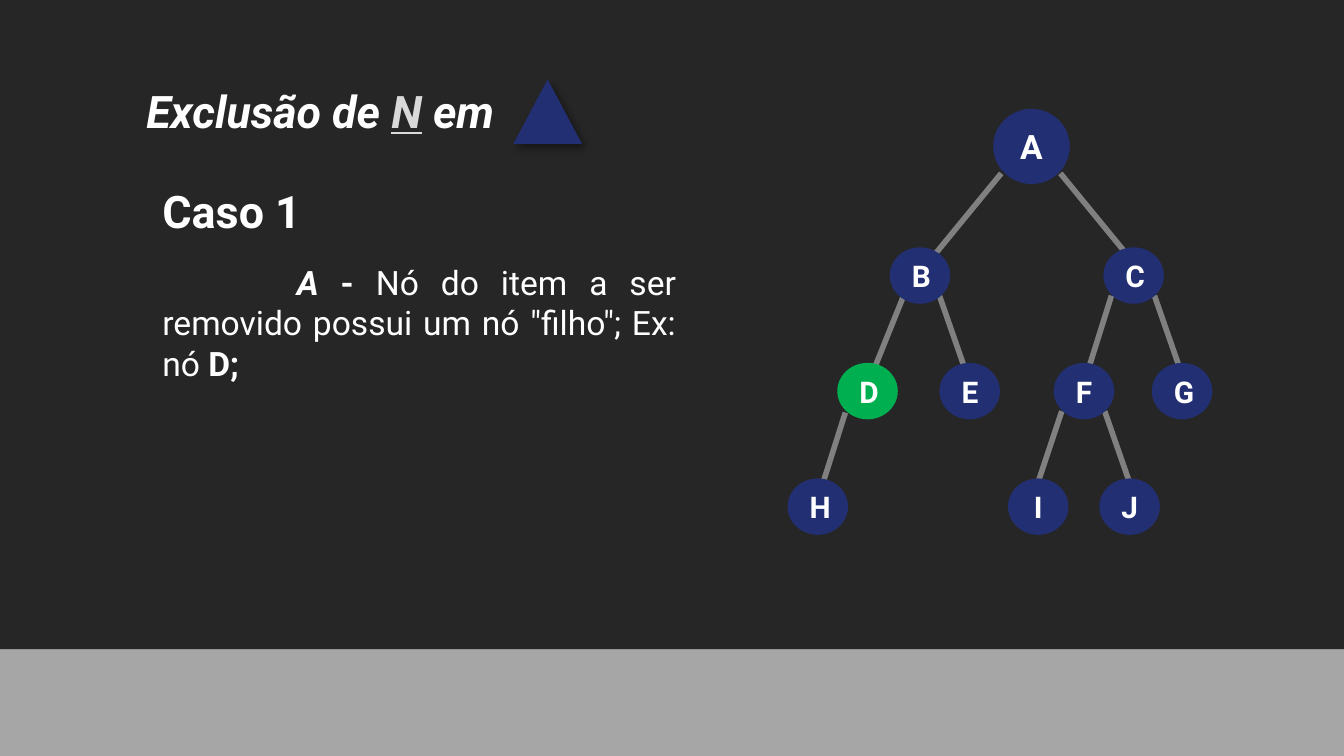
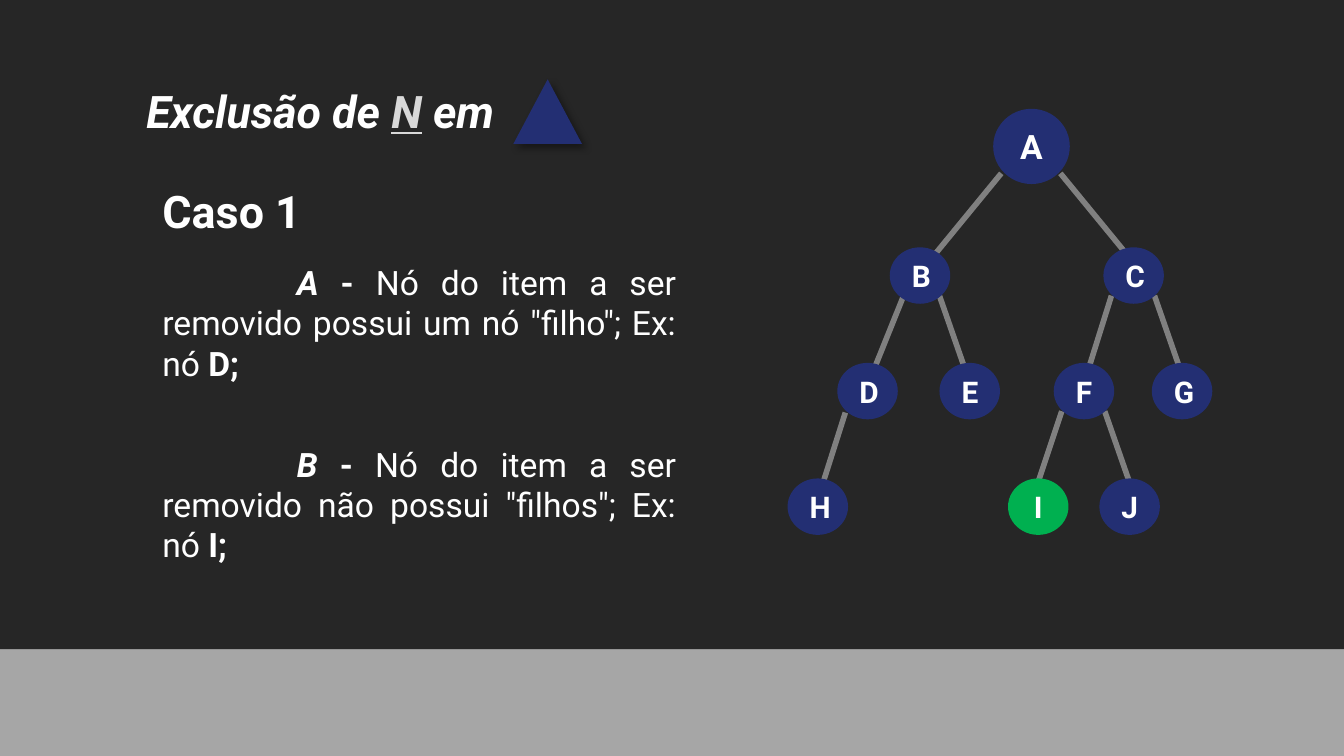
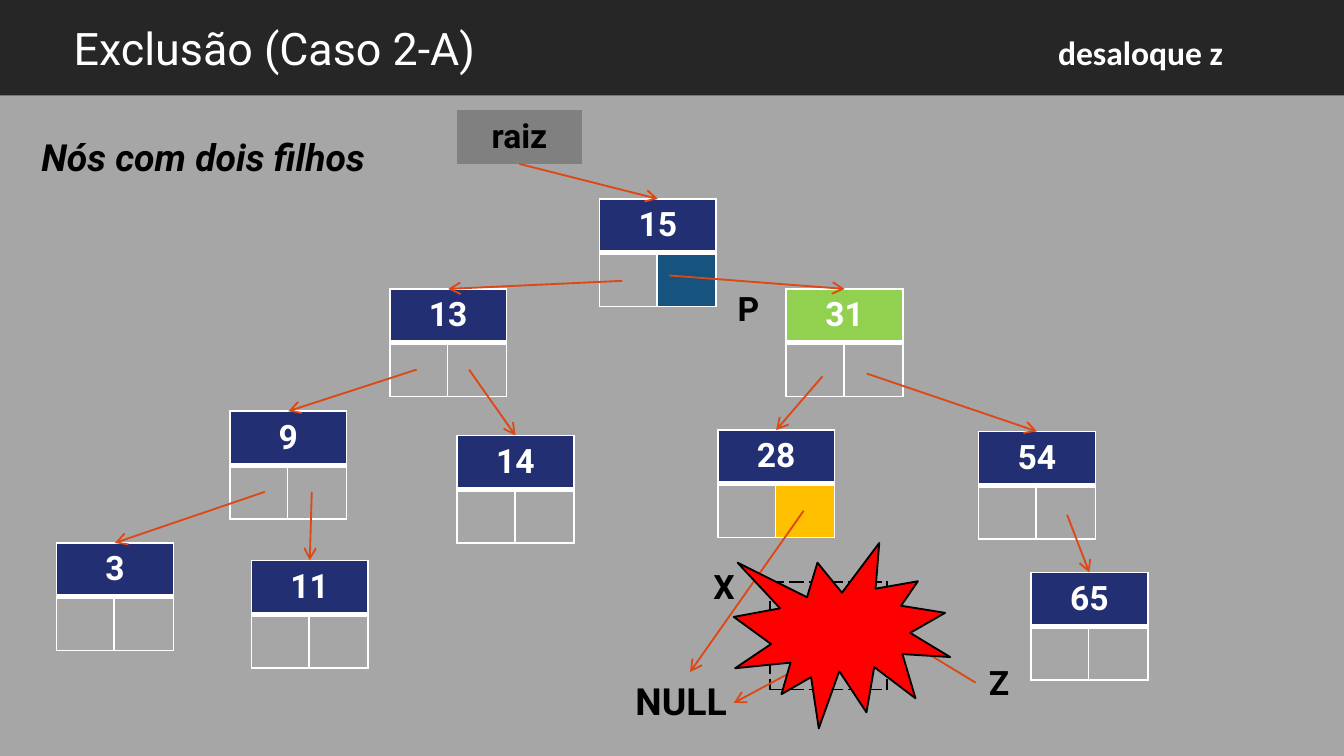
from dataclasses import dataclass
from typing import Any, NamedTuple, Optional

from lxml import etree
from pptx import Presentation
from pptx.dml.color import RGBColor
from pptx.enum.shapes import MSO_CONNECTOR, MSO_SHAPE
from pptx.enum.text import MSO_ANCHOR, MSO_AUTO_SIZE, PP_ALIGN
from pptx.oxml.ns import qn
from pptx.util import Inches, Pt

STRAIGHT = MSO_CONNECTOR.STRAIGHT
RECTANGLE, ELLIPSE = MSO_SHAPE.RECTANGLE, MSO_SHAPE.OVAL
TRIANGLE, BURST = MSO_SHAPE.ISOSCELES_TRIANGLE, MSO_SHAPE.EXPLOSION1
TOP, MIDDLE = MSO_ANCHOR.TOP, MSO_ANCHOR.MIDDLE
LEFT, CENTER, RIGHT, JUSTIFY = PP_ALIGN.LEFT, PP_ALIGN.CENTER, PP_ALIGN.RIGHT, PP_ALIGN.JUSTIFY
GROW = MSO_AUTO_SIZE.SHAPE_TO_FIT_TEXT
TOP_SIDE, LEFT_SIDE, BOTTOM_SIDE = 0, 1, 2
NO_GRID_STYLE = "{2D5ABB26-0587-4C30-8999-92F81FD0307C}"
SLIDE_WIDTH = 10
SLIDE_HEIGHT = SLIDE_WIDTH * 9 / 16


@dataclass(frozen=True)
class Theme:
    """Colours, fonts and type sizes of the presentation."""

    background: str = "A6A6A6"
    band: str = "262626"
    navy: str = "232F73"
    green: str = "00B050"
    lime: str = "92D050"
    blue: str = "16537F"
    amber: str = "FFC000"
    red: str = "FF0000"
    orange: str = "DD4814"
    gray: str = "808080"
    pale: str = "D9D9D9"
    white: str = "FFFFFF"
    black: str = "000000"
    font: str = "Roboto"
    note_font: str = "Calibri"
    title_size: int = 24
    subtitle_size: int = 20
    body_size: int = 18
    node_size: int = 16


THEME = Theme()


class Box(NamedTuple):
    """Left, top, width and height in inches."""

    left: float
    top: float
    width: float
    height: float

    def lengths(self) -> list:
        """Return the four lengths for a shape call."""
        return [Inches(value) for value in self]


class Point(NamedTuple):
    """A place on the slide in inches."""

    x: float
    y: float


class Run(NamedTuple):
    """A piece of text with its own format."""

    text: str
    style: dict = {}


@dataclass(frozen=True)
class Label:
    """A text box with one paragraph."""

    box: Box
    runs: tuple[Run, ...]
    size: int = THEME.body_size
    color: str = THEME.white
    align: Any = LEFT
    indent: float = 0
    heading: bool = True
    font: str = THEME.font


@dataclass(frozen=True)
class TreeNode:
    """A round node of the tree."""

    name: str
    left: float
    top: float
    width: float = 0.45
    height: float = 0.42
    size: int = THEME.node_size


@dataclass(frozen=True)
class Record:
    """A node table with a key and two child cells."""

    key: str
    left: float
    top: float
    fill: Optional[str] = THEME.navy
    left_fill: Optional[str] = THEME.background
    right_fill: Optional[str] = THEME.background
    border: str = THEME.white
    divider: float = 3
    dash: Optional[str] = None


class ChildLink(NamedTuple):
    """An arrow from a child cell to the top of another record."""

    start: Point
    child: str


BOLD = {"bold": True}
BOLD_ITALIC = {"bold": True, "italic": True}

TREE_NODES = (
    TreeNode("A", 7.39, 0.81, 0.57, 0.56, THEME.body_size),
    TreeNode("B", 6.62, 1.84), TreeNode("C", 8.21, 1.84),
    TreeNode("D", 6.23, 2.7), TreeNode("E", 6.99, 2.7),
    TreeNode("F", 7.84, 2.7), TreeNode("G", 8.57, 2.7),
    TreeNode("H", 5.86, 3.56), TreeNode("I", 7.5, 3.56), TreeNode("J", 8.18, 3.56),
)
TREE_EDGES = (
    (Point(7.45, 1.29), Point(6.86, 2.01)), (Point(7.89, 1.29), Point(8.48, 2.01)),
    (Point(6.78, 2.06), Point(6.45, 2.88)), (Point(6.99, 2.2), Point(7.22, 2.86)),
    (Point(8.27, 2.2), Point(8.06, 2.87)), (Point(8.59, 2.2), Point(8.82, 2.86)),
    (Point(6.29, 3.07), Point(6.08, 3.73)),
    (Point(7.9, 3.06), Point(7.68, 3.72)), (Point(8.22, 3.06), Point(8.45, 3.72)),
)
CASE_TITLES = (
    Label(Box(0.99, 0.47, 3.01, 0.71), (
        Run("Exclusão de ", BOLD_ITALIC),
        Run("N", {**BOLD_ITALIC, "underline": True, "color": THEME.pale}),
        Run(" em", BOLD_ITALIC),
    ), THEME.title_size),
    Label(Box(1.11, 1.21, 3.32, 0.71), (Run("Caso 1", BOLD),), THEME.title_size),
)


def case_label(top: float, letter: str, sentence: str, node: str) -> Label:
    """Describe one deletion case."""
    runs = (Run(f"{letter} ", BOLD_ITALIC), Run("- ", BOLD),
            Run(sentence), Run(f"{node};", BOLD))
    return Label(Box(1.11, top, 4.02, 1), runs, align=JUSTIFY, indent=1)


CASE_A = case_label(1.9, "A", 'Nó do item a ser removido possui um nó "filho"; Ex: nó ', "D")
CASE_B = case_label(3.25, "B", 'Nó do item a ser removido não possui "filhos"; Ex: nó ', "I")

RECORDS = (
    Record("15", 4.46, 1.48, right_fill=THEME.blue),
    Record("13", 2.9, 2.15), Record("31", 5.85, 2.15, THEME.lime),
    Record("9", 1.71, 3.06), Record("14", 3.4, 3.24),
    Record("28", 5.34, 3.2, right_fill=THEME.amber), Record("54", 7.28, 3.21),
    Record("3", 0.42, 4.04), Record("11", 1.87, 4.17), Record("65", 7.67, 4.26),
)
REMOVED = Record("", 5.73, 4.33, None, None, None, THEME.black, 1, "sysDash")
CHILD_LINKS = (
    ChildLink(Point(4.63, 2.09), "13"), ChildLink(Point(4.98, 2.05), "31"),
    ChildLink(Point(3.1, 2.75), "9"), ChildLink(Point(3.49, 2.75), "14"),
    ChildLink(Point(6.12, 2.8), "28"), ChildLink(Point(6.45, 2.78), "54"),
    ChildLink(Point(1.97, 3.66), "3"), ChildLink(Point(2.32, 3.66), "11"),
    ChildLink(Point(7.94, 3.83), "65"),
)
POINTERS = {"P": Point(5.39, 2.09), "X": Point(5.21, 4.16), "Z": Point(7.26, 4.88)}


def set_attributes(target: Any, values: dict) -> None:
    """Set each named attribute on the target."""
    for name, value in values.items():
        setattr(target, name, value)


def rgb(color: str) -> RGBColor:
    """Turn a hexadecimal string into a colour."""
    return RGBColor.from_string(color)


def paint(fill: Any, color: Optional[str]) -> None:
    """Fill with one colour, or clear the fill."""
    if color is None:
        fill.background()
    else:
        fill.solid()
        fill.fore_color.rgb = rgb(color)


def add_run(paragraph: Any, run: Run, size: int, color: str, font: str = THEME.font) -> None:
    """Append a formatted run to the paragraph."""
    style = dict(run.style)
    color = style.pop("color", color)
    text_run = paragraph.add_run()
    text_run.text = run.text
    set_attributes(text_run.font, {"name": font, "size": Pt(size), **style})
    text_run.font.color.rgb = rgb(color)


def add_label(slide: Any, label: Label) -> Any:
    """Draw a text box."""
    shape = slide.shapes.add_textbox(*label.box.lengths())
    frame = shape.text_frame
    frame.word_wrap = True
    if label.heading:
        margins = {f"margin_{side}": Inches(0.1) for side in ("left", "top", "right", "bottom")}
        set_attributes(frame, {"vertical_anchor": MIDDLE, **margins})
    else:
        set_attributes(frame, {"vertical_anchor": TOP, "auto_size": GROW})
    paragraph = frame.paragraphs[0]
    paragraph.alignment = label.align
    if label.indent:
        paragraph._p.get_or_add_pPr().set("indent", str(Inches(label.indent)))
    for run in label.runs:
        add_run(paragraph, run, label.size, label.color, label.font)
    return shape


def add_figure(shapes: Any, kind: Any, box: Box, fill: str, outline: Optional[str] = None) -> Any:
    """Draw a filled preset shape."""
    shape = shapes.add_shape(kind, *box.lengths())
    shape.shadow.inherit = False
    paint(shape.fill, fill)
    paint(shape.line.fill, outline)
    if outline:
        shape.line.width = Pt(1)
    return shape


def add_line(shapes: Any, start: Point, end: Point, color: str, width: float,
             arrow: bool = False) -> Any:
    """Draw a straight line, with an arrowhead if asked."""
    connector = shapes.add_connector(STRAIGHT, *(Inches(value) for value in (*start, *end)))
    connector.line.color.rgb = rgb(color)
    connector.line.width = Pt(width)
    if arrow:
        etree.SubElement(connector.line._get_or_add_ln(), qn("a:tailEnd"), type="arrow")
    etree.SubElement(connector._element.spPr, qn("a:effectLst"))
    return connector


def add_arrow(slide: Any, start: Point, end: Point) -> Any:
    """Draw a pointer arrow."""
    return add_line(slide.shapes, start, end, THEME.orange, 1, arrow=True)


def add_shadow(shape: Any) -> None:
    """Give the shape a soft shadow down to the right."""
    effects = shape._element.spPr.find(qn("a:effectLst"))
    shadow = etree.SubElement(effects, qn("a:outerShdw"), blurRad=str(Pt(4)), dist=str(Pt(3)),
                              dir="2700000", algn="tl", rotWithShape="0")
    color = etree.SubElement(shadow, qn("a:srgbClr"), val=THEME.black)
    etree.SubElement(color, qn("a:alpha"), val="40000")


def add_borders(cell: Any, record: Record, header: bool) -> None:
    """Draw the four borders of a record cell."""
    properties = cell._tc.get_or_add_tcPr()
    divider_side = "B" if header else "T"
    for position, side in enumerate("LRTB"):
        width = record.divider if side == divider_side else 1
        line = etree.Element(qn(f"a:ln{side}"), w=str(Pt(width)))
        fill = etree.SubElement(line, qn("a:solidFill"))
        etree.SubElement(fill, qn("a:srgbClr"), val=record.border)
        if record.dash:
            etree.SubElement(line, qn("a:prstDash"), val=record.dash)
        properties.insert(position, line)


def add_plain_table(slide: Any, left: float, top: float, widths: tuple, rows: int) -> Any:
    """Add a table without style or banding."""
    box = Box(left, top, sum(widths), 0.4 * rows)
    frame = slide.shapes.add_table(rows, len(widths), *box.lengths())
    set_attributes(frame.table, {"first_row": False, "horz_banding": False})
    frame._element.find(f".//{qn('a:tableStyleId')}").text = NO_GRID_STYLE
    for column, width in zip(frame.table.columns, widths):
        column.width = Inches(width)
    return frame


def write_key(cell: Any, key: str, color: str) -> None:
    """Write a centred bold key into a cell."""
    paragraph = cell.text_frame.paragraphs[0]
    paragraph.alignment = CENTER
    add_run(paragraph, Run(key, BOLD), THEME.body_size, color)


def add_record(slide: Any, record: Record) -> Any:
    """Draw a record table."""
    frame = add_plain_table(slide, record.left, record.top, (0.43, 0.44), 2)
    table = frame.table
    table.cell(0, 0).merge(table.cell(0, 1))
    fills = ((record.fill, record.fill), (record.left_fill, record.right_fill))
    for row, row_fills in enumerate(fills):
        for column, fill in enumerate(row_fills):
            cell = table.cell(row, column)
            paint(cell.fill, fill)
            add_borders(cell, record, header=row == 0)
    if record.key:
        write_key(table.cell(0, 0), record.key, THEME.white)
    return frame


def add_slide(presentation: Any, band_height: float) -> Any:
    """Add a blank slide with the dark band."""
    slide = presentation.slides.add_slide(presentation.slide_layouts[6])
    paint(slide.background.fill, THEME.background)
    add_figure(slide.shapes, RECTANGLE, Box(0, 0, SLIDE_WIDTH, band_height), THEME.band)
    return slide


def add_tree(slide: Any, highlighted: str) -> None:
    """Draw the letter tree with one node highlighted."""
    shapes = slide.shapes.add_group_shape().shapes
    for start, end in TREE_EDGES:
        add_line(shapes, start, end, THEME.gray, 3)
    for node in TREE_NODES:
        fill = THEME.green if node.name == highlighted else THEME.navy
        shape = add_figure(shapes, ELLIPSE, Box(node.left, node.top, node.width, node.height), fill)
        shape.text_frame.vertical_anchor = MIDDLE
        paragraph = shape.text_frame.paragraphs[0]
        paragraph.alignment = CENTER
        add_run(paragraph, Run(node.name, BOLD), node.size, THEME.white)


def build_case_slide(presentation: Any, cases: tuple[Label, ...], highlighted: str) -> None:
    """Build a slide of the first case."""
    slide = add_slide(presentation, 4.83)
    for label in (*CASE_TITLES, *cases):
        add_label(slide, label)
    add_shadow(add_figure(slide.shapes, TRIANGLE, Box(3.82, 0.59, 0.51, 0.48), THEME.navy))
    add_tree(slide, highlighted)


def build_removal_slide(presentation: Any) -> None:
    """Build the slide that frees the removed record."""
    slide = add_slide(presentation, 0.71)
    add_label(slide, Label(Box(0.45, 0, 9.05, 0.71), (Run("Exclusão (Caso 2-A)"),),
                           THEME.title_size))
    add_label(slide, Label(Box(0.21, 0.81, 3, 0.71), (Run("Nós com dois filhos", BOLD_ITALIC),),
                           THEME.subtitle_size, THEME.black))
    frames = {record.key: add_record(slide, record) for record in (*RECORDS, REMOVED)}
    root = add_plain_table(slide, 3.4, 0.82, (0.93,), 1)
    paint(root.table.cell(0, 0).fill, THEME.gray)
    write_key(root.table.cell(0, 0), "raiz", THEME.black)
    root_arrow = add_arrow(slide, Point(3.87, 1.22), Point(4.89, 1.48))
    root_arrow.begin_connect(root, BOTTOM_SIDE)
    root_arrow.end_connect(frames["15"], TOP_SIDE)
    for link in CHILD_LINKS:
        add_arrow(slide, link.start, link.start).end_connect(frames[link.child], TOP_SIDE)
    pointers = {
        name: add_label(slide, Label(Box(*place, 0.36, 0.4), (Run(name, BOLD),),
                                     color=THEME.black, heading=False))
        for name, place in POINTERS.items()
    }
    null = add_label(slide, Label(Box(4.63, 5, 1.01, 0.44), (Run("NULL", BOLD),),
                                  THEME.subtitle_size, THEME.black, heading=False))
    add_arrow(slide, Point(5.98, 3.8), Point(5.13, 5)).end_connect(null, TOP_SIDE)
    add_arrow(slide, Point(5.91, 4.99), Point(5.46, 5.23))
    add_arrow(slide, Point(7.29, 5.09), Point(6.42, 4.57)).begin_connect(pointers["Z"], LEFT_SIDE)
    add_figure(slide.shapes, BURST, Box(5.46, 4.04, 1.61, 1.38), THEME.red, THEME.black)
    add_label(slide, Label(Box(5.51, 0.19, 3.69, 0.4), (Run("desaloque z", BOLD),),
                           align=RIGHT, heading=False, font=THEME.note_font))


def main() -> None:
    """Build and save the presentation."""
    presentation = Presentation()
    set_attributes(presentation, {"slide_width": Inches(SLIDE_WIDTH),
                                  "slide_height": Inches(SLIDE_HEIGHT)})
    build_case_slide(presentation, (CASE_A,), "D")
    build_case_slide(presentation, (CASE_A, CASE_B), "I")
    build_removal_slide(presentation)
    presentation.save("out.pptx")


if __name__ == "__main__":
    main()
